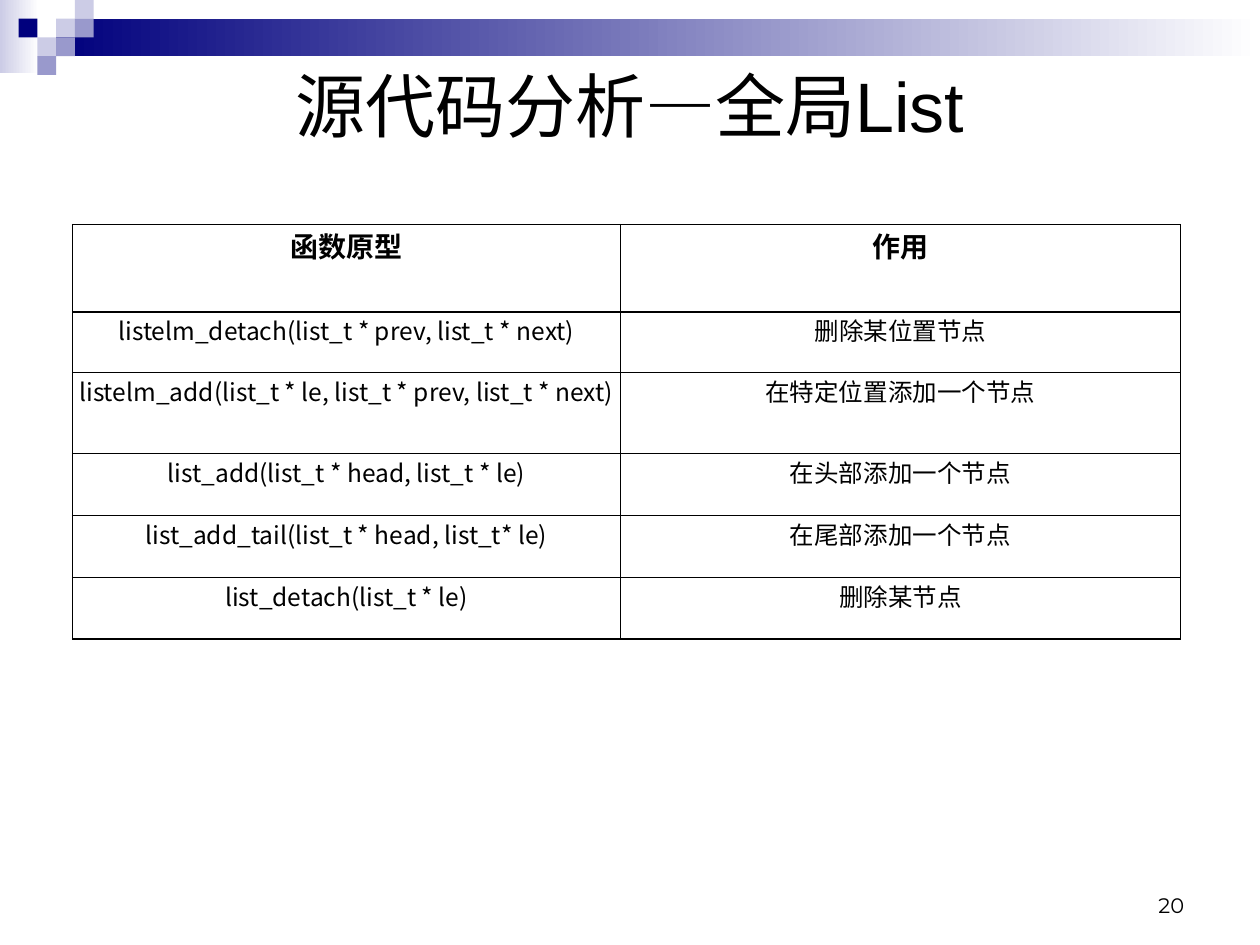
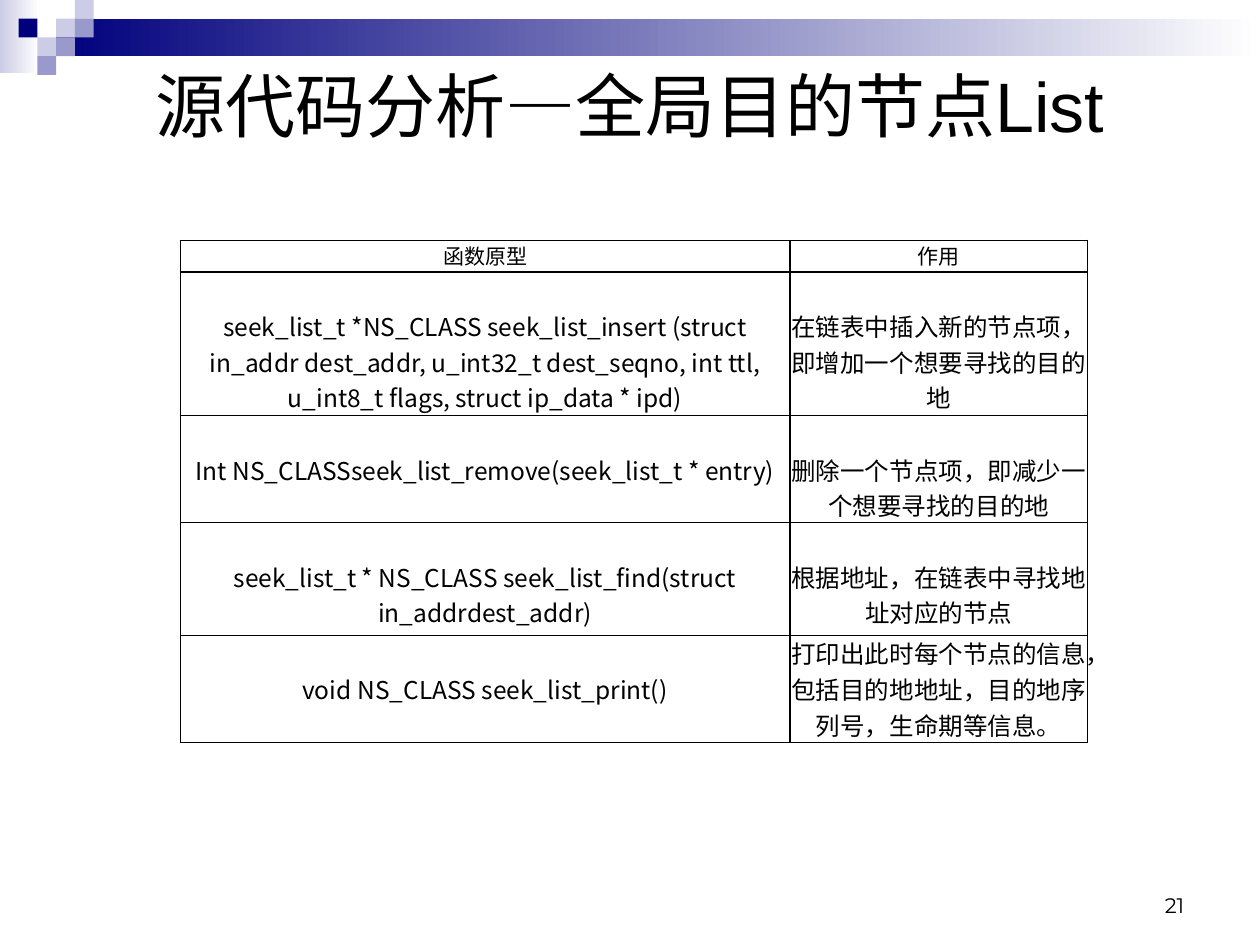
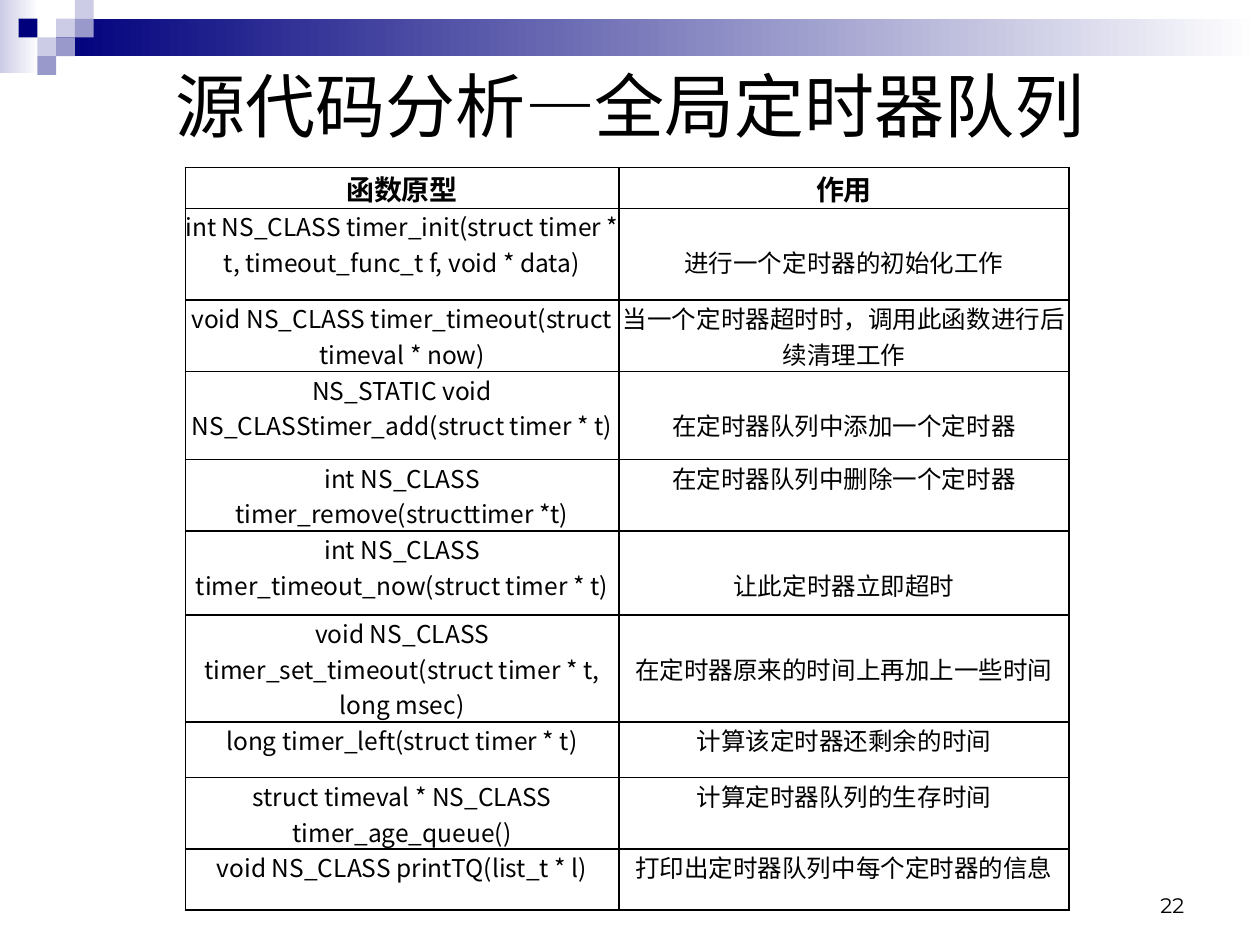
from pptx import Presentation
from pptx.dml.color import RGBColor
from pptx.enum.shapes import MSO_SHAPE
from pptx.enum.text import MSO_ANCHOR as ANCHOR, PP_ALIGN as ALIGN
from pptx.oxml import parse_xml
from pptx.oxml.ns import nsdecls
from pptx.util import Pt

BLACK = RGBColor(0x00, 0x00, 0x00)
WHITE = RGBColor(0xFF, 0xFF, 0xFF)
NAVY = RGBColor(0x00, 0x00, 0x7D)
LILAC = RGBColor(0x99, 0x99, 0xCC)
PALE = RGBColor(0xCC, 0xCC, 0xE6)

TITLE_FONT = "Arial"
NUMBER_FONT = "Montserrat"
TABLE_FONT = "Noto Sans CJK SC"
HEADINGS = ("函数原型", "作用")
FIRST_PAGE = 20
LINE = 20.5  # one line of table text, used to lower a cell's text

# Corner squares: column and row on a grid of SQUARE points
SQUARE = 10.7
SQUARES = [(3, 1, PALE), (4, 0, PALE), (4, 1, LILAC), (2, 2, PALE),
           (1, 1, NAVY), (3, 2, LILAC), (2, 3, LILAC)]
# Fading bands: left, top, width, height, start colour
BANDS = [(0, 0, 22.3, 41.8, PALE),
         (3 * SQUARE, SQUARE, 720 - 3 * SQUARE, 2 * SQUARE, NAVY)]

# Each row: height, prototype, purpose, then the space above each of the two
PAGES = [
    {
        "title": "源代码分析—全局List",
        "left": 41.5, "top": 128.4, "columns": (313.1, 320),
        "heading": (50, 16, True),
        "rows": [
            (34.6, "listelm_detach(list_t * prev, list_t * next)", "删除某位置节点", 0, 0),
            (46.2, "listelm_add(list_t * le, list_t * prev, list_t * next)",
             "在特定位置添加一个节点", 0, 0),
            (35.5, "list_add(list_t * head, list_t * le)", "在头部添加一个节点", 0, 0),
            (35.5, "list_add_tail(list_t * head, list_t* le)", "在尾部添加一个节点", 0, 0),
            (34.9, "list_detach(list_t * le)", "删除某节点", 0, 0),
        ],
    },
    {
        "title": "源代码分析—全局目的节点List",
        "left": 103, "top": 137.3, "columns": (348.5, 169.9),
        "heading": (18.1, 12, False),
        "rows": [
            (82.1, "seek_list_t *NS_CLASS seek_list_insert (struct in_addr dest_addr, "
             "u_int32_t dest_seqno, int ttl, u_int8_t flags, struct ip_data * ipd)",
             "在链表中插入新的节点项，即增加一个想要寻找的目的地", LINE, LINE),
            (61.2, "Int NS_CLASSseek_list_remove(seek_list_t * entry)",
             "删除一个节点项，即减少一个想要寻找的目的地", LINE, LINE),
            (64.4, "seek_list_t * NS_CLASS seek_list_find(struct in_addrdest_addr)",
             "根据地址，在链表中寻找地址对应的节点", LINE, LINE),
            (61.2, "void NS_CLASS seek_list_print()",
             "打印出此时每个节点的信息，包括目的地地址，目的地序列号，生命期等信息。", LINE, 0),
        ],
    },
    {
        "title": "源代码分析—全局定时器队列",
        "left": 105.9, "top": 95.8, "columns": (247.7, 257.4),
        "heading": (23.3, 16, True),
        "rows": [
            (52.4, "int NS_CLASS timer_init(struct timer * t, timeout_func_t f, void * data)",
             "进行一个定时器的初始化工作", 0, LINE),
            (40.8, "void NS_CLASS timer_timeout(struct timeval * now)",
             "当一个定时器超时时，调用此函数进行后续清理工作", 0, 0),
            (50.3, "NS_STATIC void NS_CLASStimer_add(struct timer * t)",
             "在定时器队列中添加一个定时器", 0, LINE),
            (40.8, "int NS_CLASS timer_remove(structtimer *t)",
             "在定时器队列中删除一个定时器", 0, 0),
            (48, "int NS_CLASS timer_timeout_now(struct timer * t)",
             "让此定时器立即超时", 0, LINE),
            (61.2, "void NS_CLASS timer_set_timeout(struct timer * t, long msec)",
             "在定时器原来的时间上再加上一些时间", 0, LINE),
            (31.9, "long timer_left(struct timer * t)", "计算该定时器还剩余的时间", 0, 0),
            (40.8, "struct timeval * NS_CLASS timer_age_queue()",
             "计算定时器队列的生存时间", 0, 0),
            (34.8, "void NS_CLASS printTQ(list_t * l)",
             "打印出定时器队列中每个定时器的信息", 0, 0),
        ],
    },
]


def write(frame, text, size, font_name, align, bold=False):
    """Fill a text frame with one formatted paragraph."""
    frame.text = text
    frame.word_wrap = True
    paragraph = frame.paragraphs[0]
    paragraph.alignment = align
    font = paragraph.runs[0].font
    font.size, font.name, font.bold = Pt(size), font_name, bold
    font.color.rgb = BLACK
    if font_name == TABLE_FONT:
        paragraph.runs[0]._r.get_or_add_rPr().append(
            parse_xml(f'<a:ea {nsdecls("a")} typeface="{font_name}"/>'))


def add_block(slide, left, top, width, height):
    """Add a rectangle without outline or shadow."""
    block = slide.shapes.add_shape(
        MSO_SHAPE.RECTANGLE, Pt(left), Pt(top), Pt(width), Pt(height))
    block.shadow.inherit = False
    block.line.fill.background()
    return block


prs = Presentation()
prs.slide_width, prs.slide_height = Pt(720), Pt(540)

for number, page in enumerate(PAGES, start=FIRST_PAGE):
    slide = prs.slides.add_slide(prs.slide_layouts[6])

    for *place, colour in BANDS:
        fade = add_block(slide, *place).fill
        fade.gradient()
        fade.gradient_angle = 0
        for stop, stop_colour in zip(fade.gradient_stops, (colour, WHITE)):
            stop.color.rgb = stop_colour
        fade.gradient_stops[0].position, fade.gradient_stops[1].position = 0, 1

    for column, row, colour in SQUARES:
        square = add_block(slide, column * SQUARE, row * SQUARE, SQUARE, SQUARE)
        square.fill.solid()
        square.fill.fore_color.rgb = colour

    page_number = slide.shapes.add_textbox(Pt(516), Pt(491.8), Pt(167.8), Pt(36)).text_frame
    page_number.vertical_anchor = ANCHOR.BOTTOM
    write(page_number, str(number), 12, NUMBER_FONT, ALIGN.RIGHT)

    title = slide.shapes.add_textbox(Pt(36), Pt(36.5), Pt(648), Pt(46.8)).text_frame
    title.vertical_anchor = ANCHOR.MIDDLE
    write(title, page["title"], 40, TITLE_FONT, ALIGN.CENTER)

    heading_height, heading_size, heading_bold = page["heading"]
    rows = [(heading_height, *HEADINGS, 0, 0)] + page["rows"]
    functions = slide.shapes.add_table(
        len(rows), 2, Pt(page["left"]), Pt(page["top"]),
        Pt(sum(page["columns"])), Pt(sum(row[0] for row in rows))).table
    functions.first_row = functions.horz_banding = False
    for column, width in zip(functions.columns, page["columns"]):
        column.width = Pt(width)

    for r, (height, prototype, purpose, *spaces) in enumerate(rows):
        functions.rows[r].height = Pt(height)
        size, bold = (14, False) if r else (heading_size, heading_bold)
        for c, (text, space) in enumerate(zip((prototype, purpose), spaces)):
            cell = functions.cell(r, c)
            cell.margin_left = cell.margin_right = cell.margin_bottom = 0
            cell.margin_top = Pt(space)
            write(cell.text_frame, text, size, TABLE_FONT, ALIGN.CENTER, bold)
            for side in ("lnL", "lnR", "lnT", "lnB"):
                cell._tc.get_or_add_tcPr().append(parse_xml(
                    f'<a:{side} {nsdecls("a")} w="{Pt(1)}"><a:solidFill>'
                    f'<a:srgbClr val="{BLACK}"/></a:solidFill></a:{side}>'))
            cell.fill.background()

prs.save("out.pptx")
